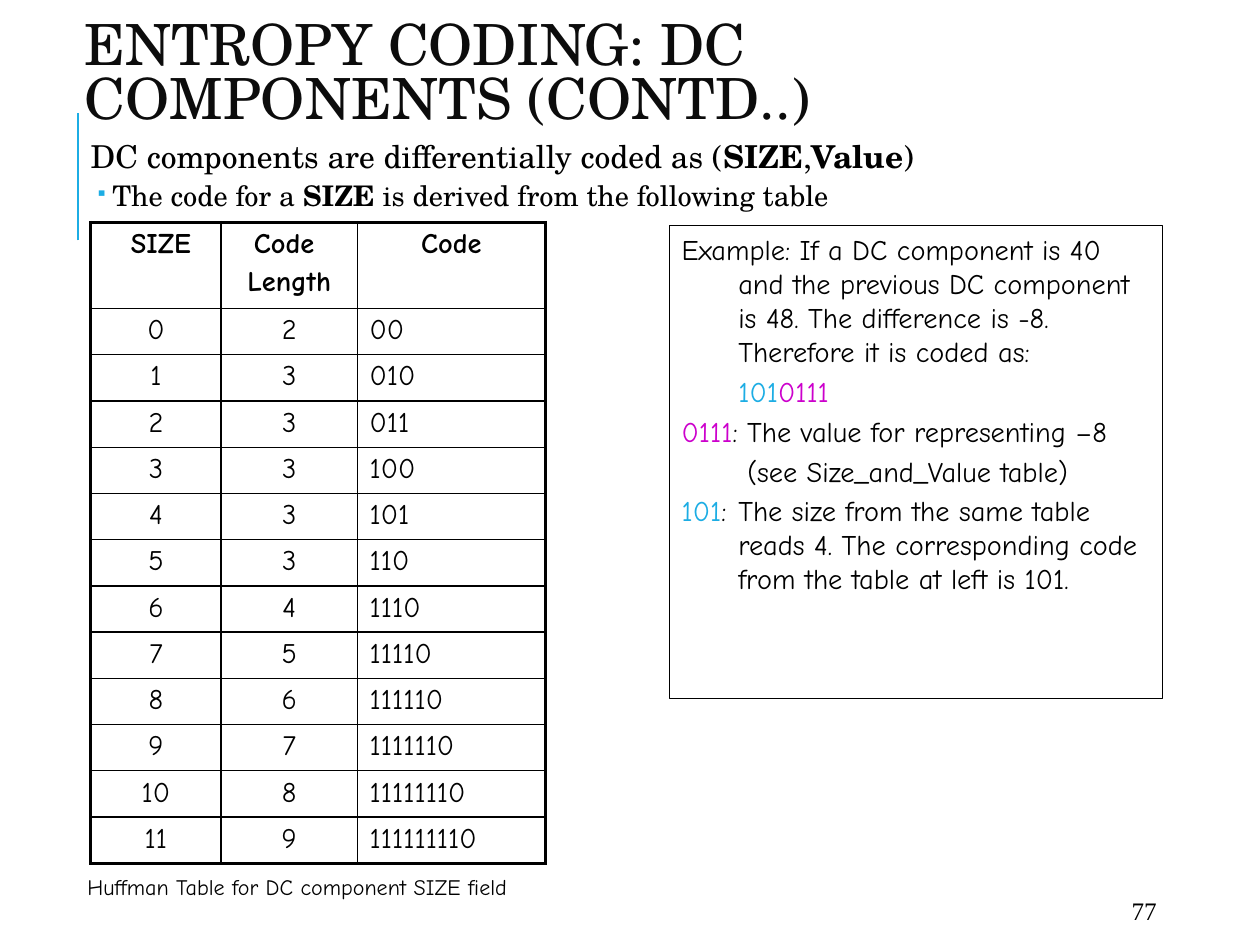
"""Build the slide on entropy coding of DC components with its Huffman table."""
from dataclasses import dataclass

from lxml import etree
from pptx import Presentation
from pptx import util as u
from pptx.dml.color import RGBColor
from pptx.enum import shapes, text
from pptx.oxml.ns import qn

COLORS = {"black": "000000", "title": "0C0C0C", "size": "1CADE4",
          "value": "CC00CC", "white": "FFFFFF"}
SERIF, COMIC, TIMES = "TeX Gyre Schola", "Comic Neue", "Times New Roman"
CODES = ["00", "010", "011", "100", "101", "110", "1110", "11110",
         "111110", "1111110", "11111110", "111111110"]
HEADERS = [" SIZE", "Code \nLength", "Code"]
COLUMN_WIDTHS = [1.15, 1.2, 1.66]
TABLE_HEIGHT, HEADER_HEIGHT = 5.65, 0.76
INSETS, CELL_INSETS = (0.11, 0.06), (0.11, 0.05)


@dataclass
class Run:
    text: str
    color: str | None = None
    bold: bool = False


@dataclass
class Para:
    runs: list[Run]
    size: float
    font: str
    color: str = "black"
    bold: bool = False
    margin: float = 0
    indent: float = 0
    before: float = 0
    spacing: float = 1
    bullet: str = ""
    centered: bool = False


@dataclass
class Box:
    left: float
    top: float
    width: float
    height: float
    paras: list[Para]
    insets: tuple[float, float] = INSETS
    middle: bool = False


def rgb(name: str) -> RGBColor:
    return RGBColor.from_string(COLORS[name])


def set_insets(target, insets: tuple[float, float]) -> None:
    target.margin_left = target.margin_right = u.Inches(insets[0])
    target.margin_top = target.margin_bottom = u.Inches(insets[1])


def write_paragraphs(frame, paras: list[Para]) -> None:
    for index, para in enumerate(paras):
        paragraph = frame.add_paragraph() if index else frame.paragraphs[0]
        paragraph.alignment = (text.PP_ALIGN.CENTER if para.centered
                               else text.PP_ALIGN.LEFT)
        paragraph.line_spacing = para.spacing
        paragraph.space_before = u.Pt(para.before)
        properties = paragraph._p.get_or_add_pPr()
        properties.set("marL", str(u.Inches(para.margin)))
        properties.set("indent", str(u.Inches(para.indent)))
        if para.bullet:
            bullet_color = etree.SubElement(properties, qn("a:buClr"))
            etree.SubElement(bullet_color, qn("a:srgbClr"), val=COLORS["size"])
            etree.SubElement(properties, qn("a:buSzPct"), val="60000")
            etree.SubElement(properties, qn("a:buChar"), char=para.bullet)
        paragraph.font.name = para.font
        paragraph.font.size = u.Pt(para.size)
        paragraph.font.bold = para.bold
        paragraph.font.color.rgb = rgb(para.color)
        for piece in para.runs:
            run = paragraph.add_run()
            run.text = piece.text
            if piece.bold:
                run.font.bold = True
            if piece.color:
                run.font.color.rgb = rgb(piece.color)


def add_box(slide, box: Box, outlined: bool = False) -> None:
    place = [u.Inches(v) for v in (box.left, box.top, box.width, box.height)]
    if outlined:
        shape = slide.shapes.add_shape(shapes.MSO_SHAPE.RECTANGLE, *place)
        shape.shadow.inherit = False
        shape.fill.background()
        shape.line.color.rgb = rgb("black")
        shape.line.width = u.Pt(0.75)
    else:
        shape = slide.shapes.add_textbox(*place)
    frame = shape.text_frame
    frame.word_wrap = True
    frame.vertical_anchor = (text.MSO_ANCHOR.MIDDLE if box.middle
                             else text.MSO_ANCHOR.TOP)
    set_insets(frame, box.insets)
    write_paragraphs(frame, box.paras)


def set_borders(cell, widths: dict[str, float]) -> None:
    properties = cell._tc.get_or_add_tcPr()
    for position, (side, width) in enumerate(widths.items()):
        border = etree.Element(qn(f"a:ln{side}"), w=str(u.Pt(width)))
        fill = etree.SubElement(border, qn("a:solidFill"))
        etree.SubElement(fill, qn("a:srgbClr"), val=COLORS["black"])
        properties.insert(position, border)


def add_code_table(slide) -> None:
    rows = [HEADERS] + [[str(size), str(len(code)), code]
                        for size, code in enumerate(CODES)]
    last_row, last_column = len(rows) - 1, len(HEADERS) - 1
    table = slide.shapes.add_table(
        len(rows), len(HEADERS), u.Inches(0.8), u.Inches(1.96),
        u.Inches(sum(COLUMN_WIDTHS)), u.Inches(TABLE_HEIGHT)).table
    table.first_row = table.horz_banding = False
    for column, width in zip(table.columns, COLUMN_WIDTHS):
        column.width = u.Inches(width)
    for r, values in enumerate(rows):
        table.rows[r].height = u.Inches(
            (TABLE_HEIGHT - HEADER_HEIGHT) / len(CODES) if r else HEADER_HEIGHT)
        for c, value in enumerate(values):
            cell = table.cell(r, c)
            cell.fill.solid()
            cell.fill.fore_color.rgb = rgb("white")
            set_insets(cell, CELL_INSETS)
            outer = {"L": c == 0, "R": c == last_column,
                     "T": r == 0, "B": r == last_row}
            set_borders(cell, {side: 2.25 if edge else 1
                               for side, edge in outer.items()})
            write_paragraphs(cell.text_frame, [
                Para([Run(line)], 18, COMIC, bold=r == 0,
                     before=3.6 if i else 0,
                     centered=r == 0 or c < last_column)
                for i, line in enumerate(value.split("\n"))])


def add_accent_line(slide) -> None:
    line = slide.shapes.add_connector(
        shapes.MSO_CONNECTOR.STRAIGHT, u.Inches(0.69), u.Inches(2.12),
        u.Inches(0.69), u.Inches(1))
    line.line.color.rgb = rgb("size")
    line.line.width = u.Pt(1.5)
    etree.SubElement(line._element.spPr, qn("a:effectLst"))


def example_para(runs: list[Run], margin: float = 0.5, indent: float = -0.5,
                 before: float = 3.6) -> Para:
    return Para(runs, 18, COMIC, margin=margin, indent=indent, before=before)


PAGE_NUMBER = Box(9.88, 7.86, 0.89, 0.33, [Para([Run("77")], 16, TIMES)],
                  (0.1, 0.05), True)
TITLE = Box(0.65, 0.28, 9.63, 0.78, [
    Para([Run("ENTROPY CODING: DC COMPONENTS (CONTD..)")], 36, SERIF, "title",
         spacing=0.8)], (0.1, 0.05), True)
BODY = Box(0.65, 1.2, 9.68, 0.78, [
    Para([Run("DC components are differentially coded as ("),
          Run("SIZE", bold=True), Run(","), Run("Value", bold=True), Run(")")],
         20, SERIF, margin=0.1, spacing=0.9),
    Para([Run("The code for a "), Run("SIZE", bold=True),
          Run(" is derived from the following table")],
         18, SERIF, margin=0.29, indent=-0.15, before=4, spacing=0.9,
         bullet="▪")], (0.05, 0.05))
EXAMPLE = Box(5.9, 1.99, 4.35, 4.17, [
    example_para([Run("Example: If a DC component is 40 and the previous DC "
                      "component is 48. The difference is -8. Therefore it is "
                      "coded as:")], before=0),
    example_para([Run("101", "size"), Run("0111", "value")], indent=0),
    example_para([Run("0111", "value"),
                  Run(": The value for representing –8")]),
    example_para([Run("(see Size_and_Value table)")], margin=0.58, indent=0),
    example_para([Run("101", "size"),
                  Run(":\tThe size from the same table reads 4. The "
                      "corresponding code from the table at left is 101.")])])
CAPTION = Box(0.66, 7.64, 4.35, 0.35, [
    Para([Run("Huffman Table for DC component SIZE field")], 14, COMIC)])


def main() -> None:
    presentation = Presentation()
    presentation.slide_width = u.Inches(11.11)
    presentation.slide_height = u.Inches(8.33)
    slide = presentation.slides.add_slide(presentation.slide_layouts[6])
    add_accent_line(slide)
    add_box(slide, PAGE_NUMBER)
    add_box(slide, TITLE)
    add_code_table(slide)
    add_box(slide, BODY)
    add_box(slide, EXAMPLE, outlined=True)
    add_box(slide, CAPTION)
    presentation.save("out.pptx")


if __name__ == "__main__":
    main()
